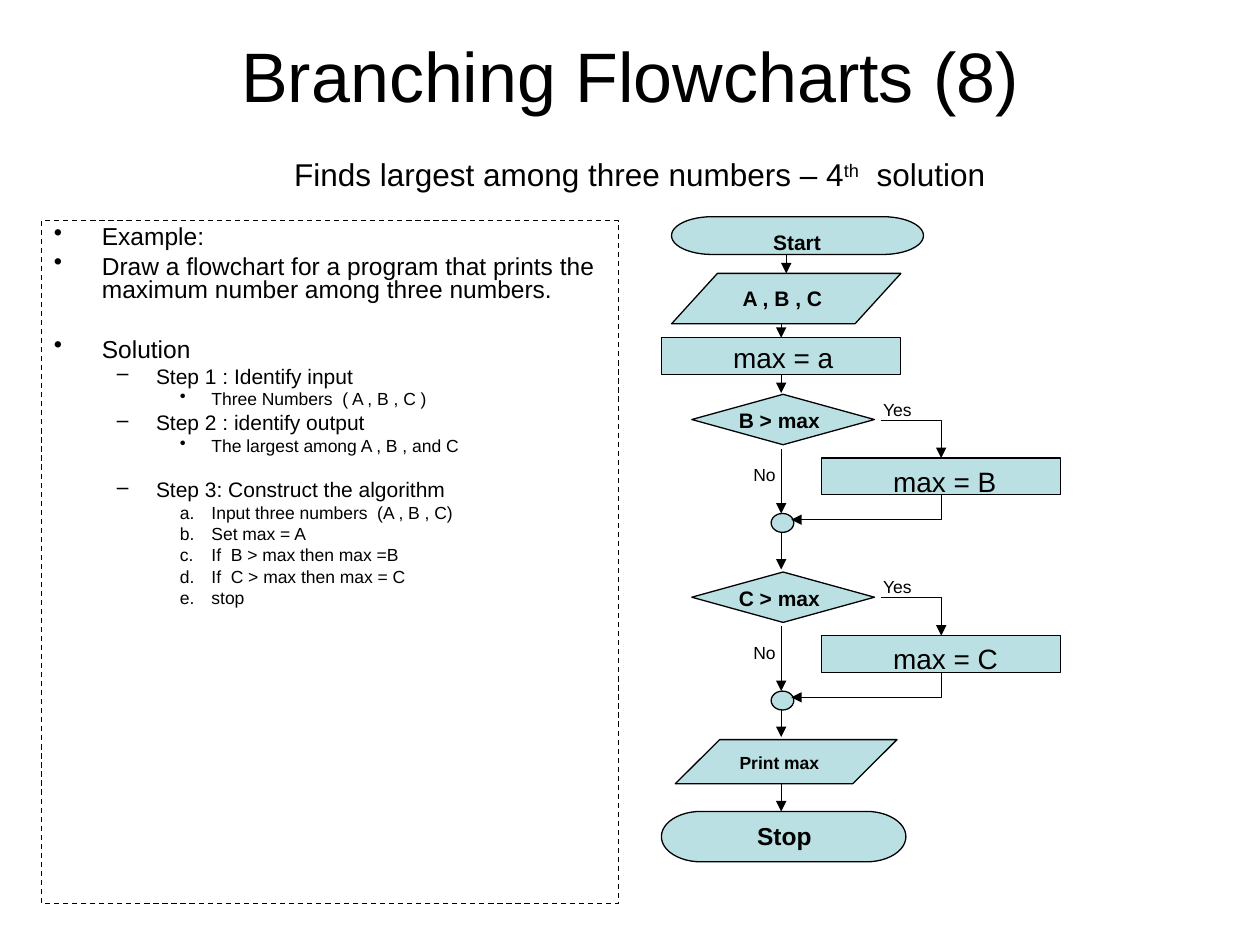
import dataclasses
import typing

import lxml.etree
import pptx
import pptx.dml.color
import pptx.enum.dml
import pptx.enum.shapes
import pptx.enum.text
import pptx.oxml.ns
import pptx.shapes.shapetree
import pptx.util

COLORS = {"ink": "000000", "node": "BBE0E3"}
FONT = "Arial"
SLIDE_WIDTH, SLIDE_HEIGHT = pptx.util.Inches(10), pptx.util.Inches(7.5)
COLUMNS, ROWS = 100, 75
LINE_WIDTH = pptx.util.Pt(0.75)

KIND = pptx.enum.shapes.MSO_SHAPE
ALIGN = pptx.enum.text.PP_ALIGN
AUTO_SIZE = pptx.enum.text.MSO_AUTO_SIZE
qn = pptx.oxml.ns.qn
Tree = pptx.shapes.shapetree.GroupShapes


class Box(typing.NamedTuple):
    column: float
    row: float
    columns: float
    rows: float


class Point(typing.NamedTuple):
    column: float
    row: float


@dataclasses.dataclass
class Node:
    kind: KIND
    box: Box


@dataclasses.dataclass
class Label:
    text: str
    box: Box
    size: float
    bold: bool = False
    centered: bool = False


@dataclasses.dataclass
class Level:
    margin: float
    hanging: float
    size: float
    before: float
    bullet: str


@dataclasses.dataclass
class Item:
    text: str
    level: Level
    extra: float = 0


# Outline levels and text
TOPIC = Level(0.38, 0.38, 14, 3.5, "•")
STEP = Level(0.81, 0.31, 12, 3, "–")
DETAIL = Level(1.25, 0.25, 10, 2.5, "•")
NUMBERED = dataclasses.replace(DETAIL, bullet="alphaLcPeriod")
OUTLINE = [
    Item("Example:", TOPIC),
    Item("Draw a flowchart for a program that prints the maximum number among three numbers.", TOPIC),
    Item("Solution", TOPIC, extra=17),
    Item("Step 1 : Identify input", STEP),
    Item("Three Numbers  ( A , B , C )", DETAIL),
    Item("Step 2 : identify output", STEP),
    Item("The largest among A , B , and C", DETAIL),
    Item("Step 3: Construct the algorithm", STEP, extra=11.7),
    Item("Input three numbers  (A , B , C)", NUMBERED),
    Item("Set max = A", NUMBERED),
    Item("If  B > max then max =B", NUMBERED),
    Item("If  C > max then max = C", NUMBERED),
    Item("stop", NUMBERED),
]

# Main flow; each branch is placed by the top row of its decision
FLOW_COLUMN = 62
BRANCH_TOPS = {"B": 31.3, "C": 45.4}
NODES = [
    Node(KIND.FLOWCHART_TERMINATOR, Box(53.3, 17.2, 20, 3)),
    Node(KIND.FLOWCHART_DATA, Box(53.3, 21.7, 18.2, 4)),
    Node(KIND.RECTANGLE, Box(52.5, 26.8, 19, 2.9)),
    Node(KIND.FLOWCHART_DATA, Box(53.6, 58.7, 17.6, 3.5)),
    Node(KIND.FLOWCHART_TERMINATOR, Box(52.5, 64.4, 19.4, 4)),
]
LABELS = [
    Label("Start", Box(56.3, 17.7, 13.9, 3), 12, True, True),
    Label("A , B , C", Box(55.1, 22.2, 14, 3), 12, True, True),
    Label("max = a", Box(57.2, 26.5, 15.8, 3.7), 16),
    Label("Print max", Box(54.9, 59.2, 13.9, 2.7), 10, True, True),
    Label("Stop", Box(55.3, 64.7, 13.9, 3.4), 14, True, True),
]
ARROWS = [
    (Point(62.4, 20.2), Point(62.4, 21.7)),
    (Point(FLOW_COLUMN, 25.7), Point(FLOW_COLUMN, 26.8)),
    (Point(FLOW_COLUMN, 29.7), Point(FLOW_COLUMN, 31.2)),
    (Point(FLOW_COLUMN, 42.3), Point(FLOW_COLUMN, 45.2)),
    (Point(FLOW_COLUMN, 56.3), Point(FLOW_COLUMN, 58.5)),
    (Point(FLOW_COLUMN, 62.2), Point(FLOW_COLUMN, 64.4)),
]


def x(column: float) -> int:
    return round(SLIDE_WIDTH * column / COLUMNS)


def y(row: float) -> int:
    return round(SLIDE_HEIGHT * row / ROWS)


def frame(box: Box) -> tuple[int, int, int, int]:
    return x(box.column), y(box.row), x(box.columns), y(box.rows)


def color(name: str) -> pptx.dml.color.RGBColor:
    return pptx.dml.color.RGBColor.from_string(COLORS[name])


def add_run(paragraph, text: str, size: float, bold: bool = False):
    run = paragraph.add_run()
    run.text = text
    run.font.name, run.font.size, run.font.bold = FONT, pptx.util.Pt(size), bold
    run.font.color.rgb = color("ink")
    return run


def ink_line(shape, arrow: bool = False) -> None:
    shape.line.width = LINE_WIDTH
    shape.line.color.rgb = color("ink")
    if arrow:
        outline = shape.element.spPr.find(qn("a:ln"))
        lxml.etree.SubElement(outline, qn("a:tailEnd"), type="triangle")


def draw_node(shapes: Tree, node: Node) -> None:
    shape = shapes.add_shape(node.kind, *frame(node.box))
    shape.shadow.inherit = False
    shape.fill.solid()
    shape.fill.fore_color.rgb = color("node")
    ink_line(shape)


def draw_label(shapes: Tree, label: Label) -> None:
    text = shapes.add_textbox(*frame(label.box)).text_frame
    text.word_wrap = True
    text.auto_size = AUTO_SIZE.SHAPE_TO_FIT_TEXT
    paragraph = text.paragraphs[0]
    paragraph.alignment = ALIGN.CENTER if label.centered else ALIGN.LEFT
    add_run(paragraph, label.text, label.size, label.bold)


def draw_arrow(shapes: Tree, start: Point, end: Point) -> None:
    arrow = shapes.add_connector(pptx.enum.shapes.MSO_CONNECTOR.STRAIGHT,
                                 x(start.column), y(start.row), x(end.column), y(end.row))
    ink_line(arrow, arrow=True)
    lxml.etree.SubElement(arrow.element.spPr, qn("a:effectLst"))


def draw_elbow(shapes: Tree, start: Point, corner: Point, end: Point) -> None:
    builder = shapes.build_freeform(x(start.column), y(start.row))
    builder.add_line_segments([(x(p.column), y(p.row)) for p in (corner, end)], close=False)
    elbow = builder.convert_to_shape()
    elbow.shadow.inherit = False
    elbow.fill.background()
    ink_line(elbow, arrow=True)


def draw_branch(shapes: Tree, variable: str, top: float) -> None:
    side = 74.7
    draw_node(shapes, Node(KIND.FLOWCHART_DECISION, Box(54.9, top, 14.5, 4)))
    draw_node(shapes, Node(KIND.FLOWCHART_CONNECTOR, Box(61.2, top + 9.45, 1.8, 1.5)))
    draw_node(shapes, Node(KIND.RECTANGLE, Box(65.2, top + 5.05, 19, 2.9)))
    draw_arrow(shapes, Point(FLOW_COLUMN, top + 4.3), Point(FLOW_COLUMN, top + 9.45))
    draw_elbow(shapes, Point(69.9, top + 2.05), Point(side, top + 2.05), Point(side, top + 5.05))
    draw_elbow(shapes, Point(side, top + 7.95), Point(side, top + 9.95), Point(62.8, top + 9.95))
    draw_label(shapes, Label(f"{variable} > max", Box(54.9, top + 0.55, 13.9, 3), 12, True, True))
    draw_label(shapes, Label("Yes", Box(69.1, top - 0.15, 5.5, 2.7), 10))
    draw_label(shapes, Label("No", Box(58.8, top + 5.05, 5.5, 2.7), 10))
    draw_label(shapes, Label(f"max = {variable}", Box(69.9, top + 5.05, 11.1, 3.7), 16))


def fill_title(title) -> None:
    title.left, title.top, title.width, title.height = frame(Box(5, 3, 90, 12.5))
    text = title.text_frame
    text.auto_size = AUTO_SIZE.NONE
    text.vertical_anchor = pptx.enum.text.MSO_ANCHOR.MIDDLE
    paragraph = text.paragraphs[0]
    paragraph.alignment = ALIGN.CENTER
    add_run(paragraph, "Branching Flowcharts (8)", 40)
    paragraph.add_line_break()
    add_run(paragraph, " ", 40)
    add_run(paragraph, "Finds largest among three numbers – 4", 18)
    ordinal = add_run(paragraph, "th", 18)
    ordinal._r.get_or_add_rPr().set("baseline", "30000")
    add_run(paragraph, "  solution", 18)


def draw_outline(shapes, items: list[Item]) -> None:
    panel = shapes.add_textbox(*frame(Box(3.3, 17.5, 45.8, 54.2)))
    ink_line(panel)
    panel.line.dash_style = pptx.enum.dml.MSO_LINE.DASH
    text = panel.text_frame
    text.word_wrap = True
    for index, item in enumerate(items):
        level = item.level
        paragraph = text.add_paragraph() if index else text.paragraphs[0]
        paragraph.line_spacing = 0.8
        paragraph.space_before = pptx.util.Pt(level.before + item.extra)
        properties = paragraph._p.get_or_add_pPr()
        properties.set("marL", str(pptx.util.Inches(level.margin)))
        properties.set("indent", str(-pptx.util.Inches(level.hanging)))
        if level is NUMBERED:
            lxml.etree.SubElement(properties, qn("a:buAutoNum"), type=level.bullet)
        else:
            lxml.etree.SubElement(properties, qn("a:buChar"), char=level.bullet)
        add_run(paragraph, item.text, level.size)


def main() -> None:
    deck = pptx.Presentation()
    deck.slide_width, deck.slide_height = SLIDE_WIDTH, SLIDE_HEIGHT
    slide = deck.slides.add_slide(deck.slide_layouts.get_by_name("Title Only"))
    fill_title(slide.shapes.title)
    draw_outline(slide.shapes, OUTLINE)

    # Flowchart
    flowchart = slide.shapes.add_group_shape().shapes
    for node in NODES:
        draw_node(flowchart, node)
    for variable, top in BRANCH_TOPS.items():
        draw_branch(flowchart, variable, top)
    for start, end in ARROWS:
        draw_arrow(flowchart, start, end)
    for label in LABELS:
        draw_label(flowchart, label)
    deck.save("out.pptx")


if __name__ == "__main__":
    main()
